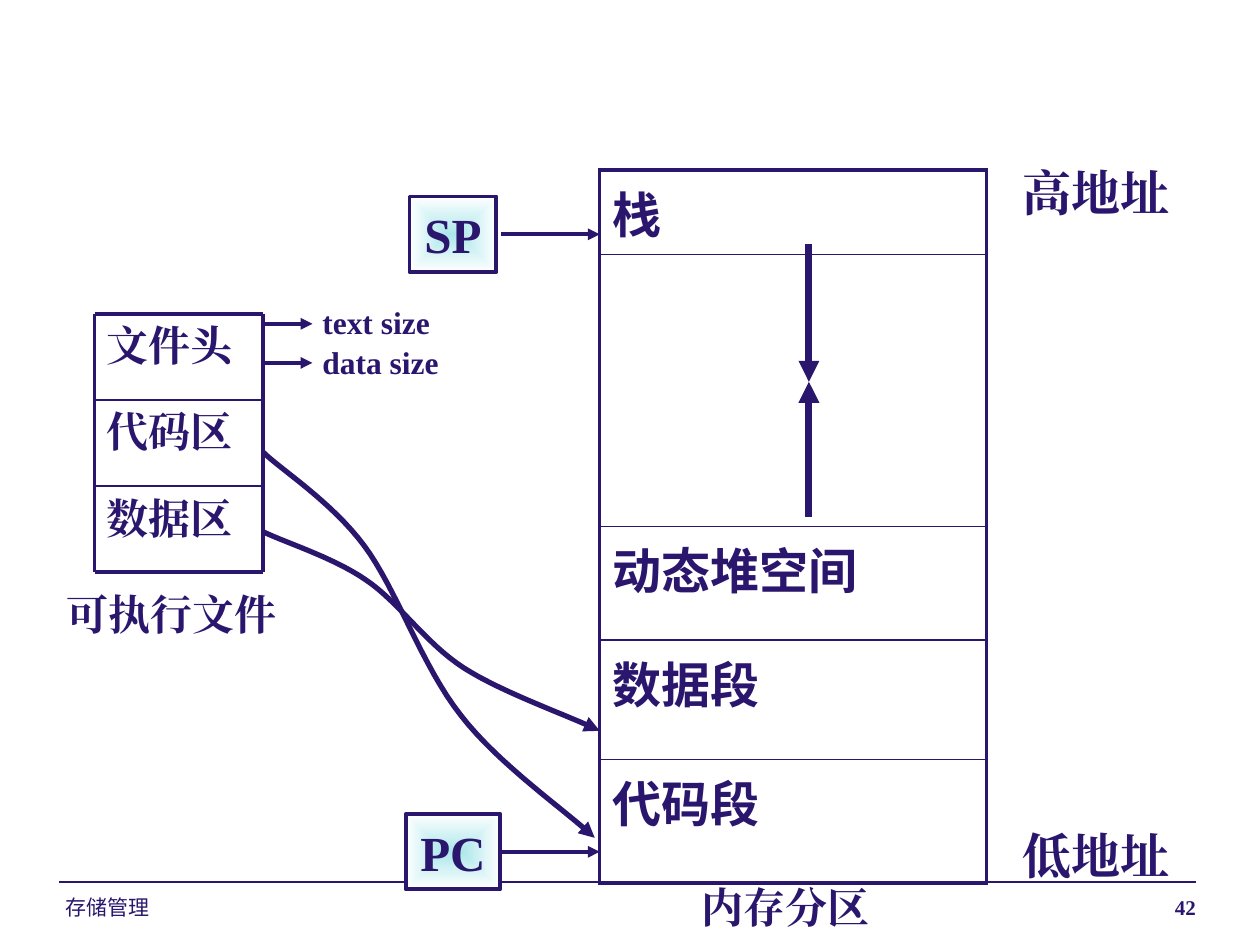
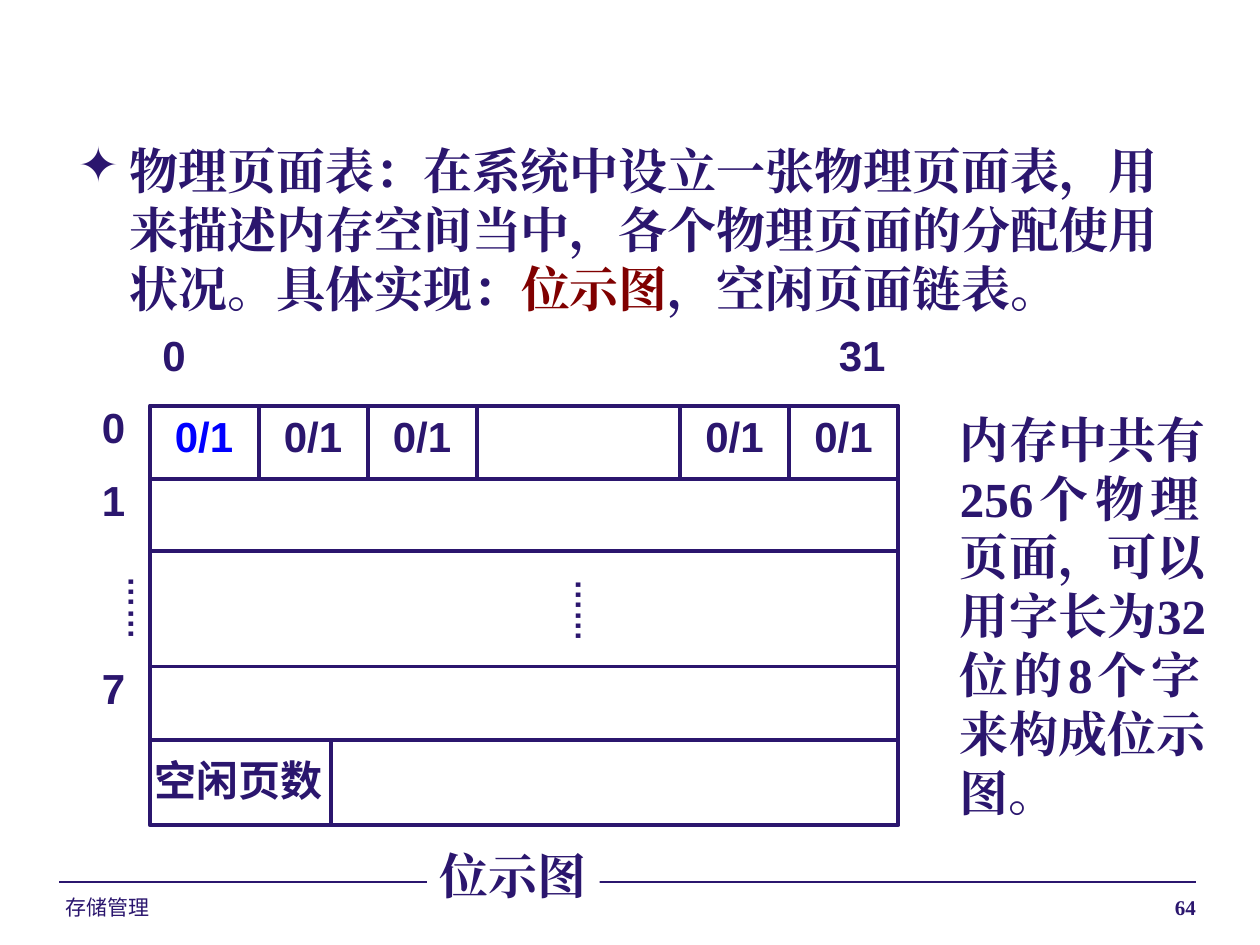
from collections import namedtuple
from itertools import accumulate

from lxml.etree import SubElement
from pptx import Presentation
from pptx.dml.color import RGBColor
from pptx.enum.shapes import MSO_CONNECTOR as Line, MSO_SHAPE as Shape
from pptx.enum.text import MSO_ANCHOR as Anchor, PP_ALIGN as Align
from pptx.oxml.ns import qn
from pptx.util import Emu, Inches, Pt

COLORS = {
    "ink": "2B166E",
    "accent": "800000",
    "bit": "0000FF",
    "glow": "ADE7EB",
    "paper": "FFFFFF",
}
SERIF, SANS, CJK = "Times New Roman", "Arial", "Noto Sans CJK SC"
COLS, ROWS = 100, 75
SLIDE_W, SLIDE_H = Inches(10), Inches(7.5)
UNIT = SLIDE_W / COLS
RULE = 2.25


class Box(namedtuple("Box", "x y w h")):
    def at(self, x, y, w=0, h=0):
        return Box(self.x + x, self.y + y, w, h)

    def emu(self):
        return [grid(v) for v in self]


def grid(v):
    return Emu(round(v * UNIT))


def rgb(name):
    return RGBColor.from_string(COLORS[name])


def write(tf, text, size=24, face=SERIF, color="ink", bold=True, align=Align.LEFT,
          wrap=False, leading=None, bullet=None, vertical=False):
    tf.word_wrap = wrap
    if vertical:
        tf._txBody.bodyPr.set("vert", "eaVert")
    p = tf.paragraphs[0]
    if bullet:
        pPr = p._p.get_or_add_pPr()
        pPr.set("marL", str(grid(4.1)))
        pPr.set("indent", str(grid(-4.1)))
        clr = SubElement(pPr, qn("a:buClr"))
        SubElement(clr, qn("a:srgbClr"), val=COLORS["ink"])
        SubElement(pPr, qn("a:buChar"), char=bullet)
    p.alignment = align
    if leading:
        p.line_spacing = Pt(leading * size)
    runs = [(text, color)] if isinstance(text, str) else text
    for words, hue in runs:
        for i, part in enumerate(words.split("\n")):
            if i:
                p.add_line_break()
            r = p.add_run()
            r.text = part
            r.font.size, r.font.bold, r.font.name = Pt(size), bold, face
            r.font.color.rgb = rgb(hue)
            SubElement(r._r.get_or_add_rPr(), qn("a:ea"), typeface=face)


def label(s, box, text, **fmt):
    sp = s.shapes.add_textbox(*box.emu())
    write(sp.text_frame, text, **fmt)


def stroke(line, width, arrow=False):
    line.color.rgb = rgb("ink")
    line.width = Pt(width)
    if arrow:
        SubElement(line._get_or_add_ln(), qn("a:tailEnd"), type="triangle")


def rule(s, start, end, width=RULE, arrow=False):
    cx = s.shapes.add_connector(Line.STRAIGHT, grid(start[0]), grid(start[1]),
                                grid(end[0]), grid(end[1]))
    stroke(cx.line, width, arrow)
    SubElement(cx._element.spPr, qn("a:effectLst"))


def panel(s, box, outlined=True):
    sp = s.shapes.add_shape(Shape.RECTANGLE, *box.emu())
    sp.shadow.inherit = False
    sp.fill.solid()
    sp.fill.fore_color.rgb = rgb("paper")
    if outlined:
        stroke(sp.line, RULE)
    else:
        sp.line.fill.background()
    return sp


def bezier(a, b, c, d, steps=16):
    for i in range(1, steps + 1):
        t = i / steps
        yield tuple((1 - t) ** 3 * p + 3 * t * (1 - t) ** 2 * q
                    + 3 * t * t * (1 - t) * m + t ** 3 * n
                    for p, q, m, n in zip(a, b, c, d))


def curve(s, nodes):
    points = [pt for i in range(0, len(nodes) - 1, 3)
              for pt in bezier(*nodes[i:i + 4])]
    fb = s.shapes.build_freeform(grid(nodes[0][0]), grid(nodes[0][1]))
    fb.add_line_segments([(grid(x), grid(y)) for x, y in points], close=False)
    sp = fb.convert_to_shape()
    sp.shadow.inherit = False
    sp.fill.background()
    stroke(sp.line, 3, arrow=True)


def frame(prs, number):
    s = prs.slides.add_slide(prs.slide_layouts[6])
    rule(s, (4.7, 70), (94.9, 70), 0.75)
    label(s, Box(4.2, 70.5, 23.3, 2.4), "存储管理", size=12, face=SANS, bold=False, wrap=True)
    label(s, Box(64.2, 70.5, 31.7, 2.4), number, size=12, align=Align.RIGHT, wrap=True)
    return s


def border(cell, **widths):
    tcPr = cell._tc.get_or_add_tcPr()
    for side, width in widths.items():
        ln = SubElement(tcPr, qn(f"a:ln{side}"), w=str(Pt(width)))
        fill = SubElement(ln, qn("a:solidFill"))
        SubElement(fill, qn("a:srgbClr"), val=COLORS["ink"])


def memory_map(s, box):
    segments = [("栈", 6.7), ("", 21.6), ("动态堆空间", 9), ("数据段", 9.5), ("代码段", 9.8)]
    table = s.shapes.add_table(len(segments), 1, *box.emu()).table
    table.first_row = table.horz_banding = False
    table.columns[0].width = grid(box.w)
    last = len(segments) - 1
    for i, (name, height) in enumerate(segments):
        table.rows[i].height = grid(height)
        cell = table.cell(i, 0)
        border(cell, L=RULE, R=RULE, T=1 if i else RULE, B=RULE if i == last else 1)
        cell.fill.background()
        if name:
            write(cell.text_frame, name, size=28, face=CJK, wrap=True)
    middle = box.x + 16.6
    for start in (5.9, 27.5):
        rule(s, (middle, box.y + start), (middle, box.y + 16.8), 4, arrow=True)
    for name, y in (("低地址", 51.5), ("高地址", -1.1)):
        label(s, box.at(32.6, y, 14.7, 5.7), name, size=28)
    label(s, box.at(7.1, 56, 15.4, 5), "内存分区")


def executable(s, box):
    step = box.h / 3
    right, bottom = box.x + box.w, box.y + box.h
    for i, name in enumerate(["文件头", "代码区", "数据区"]):
        label(s, box.at(0, i * step, box.w, step), name, wrap=True)
    for i in range(4):
        y = box.y + i * step
        rule(s, (box.x, y), (right, y), 1 if i in (1, 2) else RULE)
    for x in (box.x, right):
        rule(s, (x, box.y), (x, bottom))
    label(s, box.at(-3.2, 21.3, 18.8, 5), "可执行文件")
    for name, y in (("text size", 0.8), ("data size", 3.9)):
        rule(s, (right, box.y + y), (right + 3.9, box.y + y), arrow=True)
        label(s, box.at(17.1, y - 2.1, 11.2, 4), name, size=18)


def register(s, box, name):
    sp = panel(s, box)
    sp.fill.gradient()
    for stop, hue in zip(sp.fill.gradient_stops, ("glow", "paper")):
        stop.color.rgb = rgb(hue)
    grad = sp._element.spPr.find(qn("a:gradFill"))
    grad.remove(grad.find(qn("a:lin")))
    shade = SubElement(grad, qn("a:path"), path="shape")
    SubElement(shade, qn("a:fillToRect"), l="50000", t="50000", r="50000", b="50000")
    sp.text_frame.vertical_anchor = Anchor.MIDDLE
    write(sp.text_frame, name, size=28, align=Align.CENTER)
    y = box.y + box.h / 2
    rule(s, (39.8, y), (47.6, y), arrow=True)


def loading_slide(prs):
    s = frame(prs, "42")
    memory_map(s, Box(47.6, 13.5, 30.7, 56.6))
    executable(s, Box(7.5, 24.9, 13.4, 20.5))
    curve(s, [(20.9, 35.9), (22.2, 37.2), (26.3, 39.8), (28.9, 43.3), (31.5, 46.8),
              (33.5, 52.9), (36.6, 56.8), (39.6, 60.7), (45, 64.4), (47.2, 66.5)])
    curve(s, [(20.9, 42.2), (22.2, 42.9), (26.4, 44.2), (29, 46), (31.7, 47.8),
              (33.7, 51), (36.8, 53), (39.9, 55), (45.4, 56.9), (47.6, 58)])
    register(s, Box(32.5, 15.6, 6.9, 6), "SP")
    register(s, Box(32.2, 64.6, 7.5, 6), "PC")


def bitmap(s, box):
    panel(s, box)
    right, bottom = box.x + box.w, box.y + box.h
    tops = list(accumulate([5.8, 5.7, 9.2, 5.8]))
    for y in tops:
        rule(s, (box.x, box.y + y), (right, box.y + y))
    bit = 8.65
    for x in (bit, 2 * bit, 3 * bit, box.w - 2 * bit, box.w - bit):
        rule(s, (box.x + x, box.y), (box.x + x, box.y + tops[0]))
    for i, x in enumerate([0, bit, 2 * bit, box.w - 2 * bit, box.w - bit]):
        label(s, box.at(x + 1, -0.1, 6.6, 5), "0/1", face=SANS, color="ink" if i else "bit")
    for text, x, w in (("0", 0, 3.9), ("31", 53.7, 5.7)):
        label(s, box.at(x, -6.5, w, 5), text, face=SANS)
    for text, y in (("0", 0), ("1", tops[0]), ("7", tops[2])):
        label(s, box.at(-4.8, y - 0.8, 3.9, 5), text, face=SANS)
    for x, y in ((31.8, 12.8), (-3.7, 12.6)):
        label(s, box.at(x, y, 5, 6), "……", size=18, face=SANS, vertical=True)
    label(s, box.at(-0.6, 27.2, 15.4, 5), "空闲页数", face=SANS)
    rule(s, (box.x + 14.4, box.y + tops[3]), (box.x + 14.4, bottom))
    caption = panel(s, box.at(22, 34.4, 13.7, 5.7), outlined=False)
    caption.text_frame.vertical_anchor = Anchor.TOP
    write(caption.text_frame, "位示图", size=28)


def bitmap_slide(prs):
    s = frame(prs, "64")
    label(s, Box(5.2, 10.7, 90.2, 15), [
        ("物理页面表：在系统中设立一张物理页面表，用来描述内存空间当中，"
         "各个物理页面的分配使用状况。具体实现：", "ink"),
        ("位示图", "accent"),
        ("，空闲页面链表。", "ink"),
    ], size=28, wrap=True, leading=1.2, bullet="✦")
    bitmap(s, Box(11.9, 32.2, 59.4, 33.3))
    label(s, Box(75.2, 32, 21.5, 33.7),
          "内存中共有\n256个物理\n页面，可以\n用字长为32\n位的8个字\n来构成位示\n图。",
          size=28, wrap=True, leading=1.2, align=Align.JUSTIFY)


def main():
    prs = Presentation()
    prs.slide_width, prs.slide_height = SLIDE_W, SLIDE_H
    loading_slide(prs)
    bitmap_slide(prs)
    prs.save("out.pptx")


if __name__ == "__main__":
    main()
